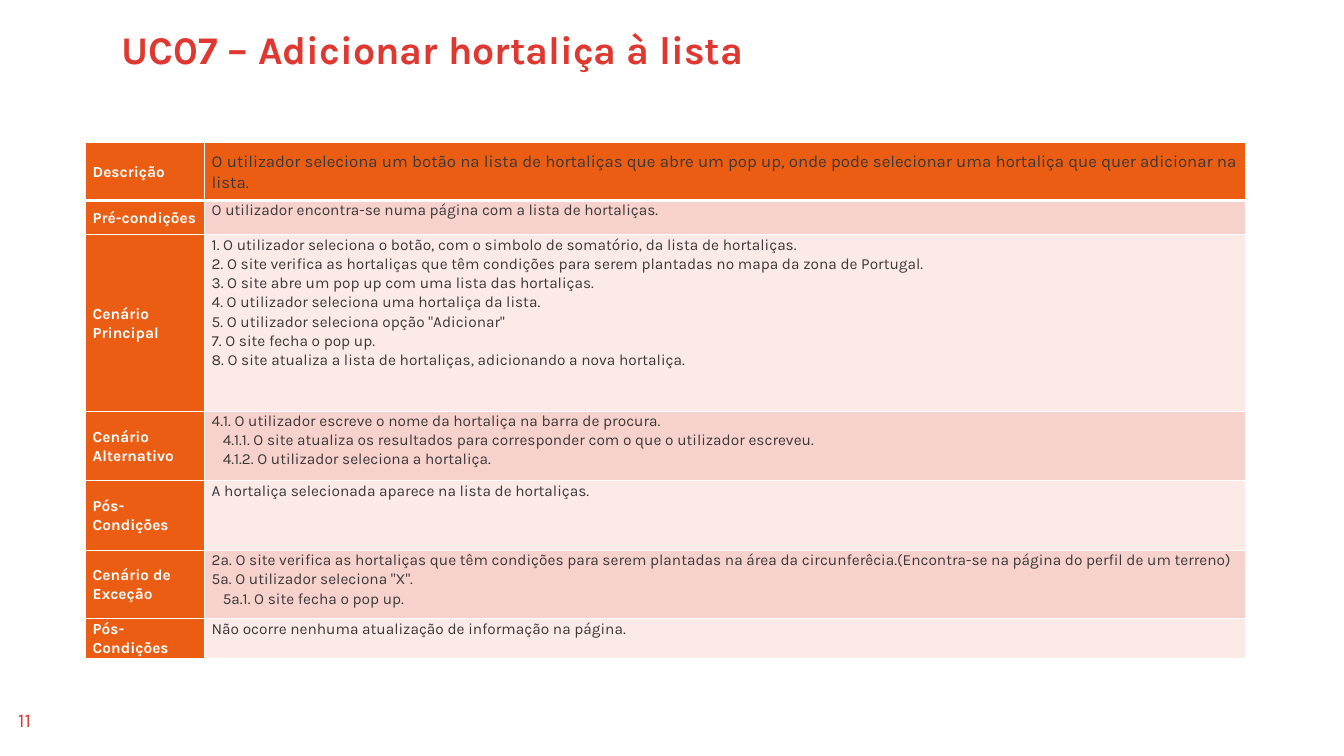
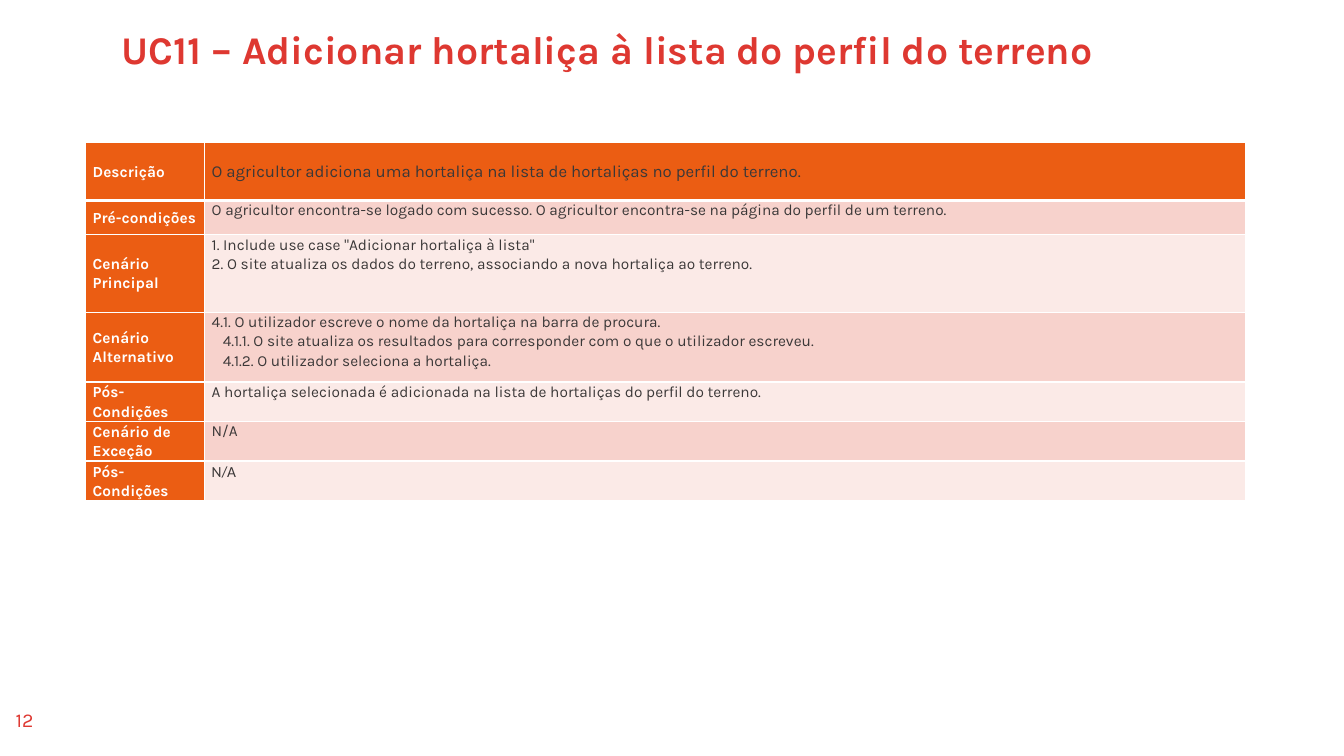
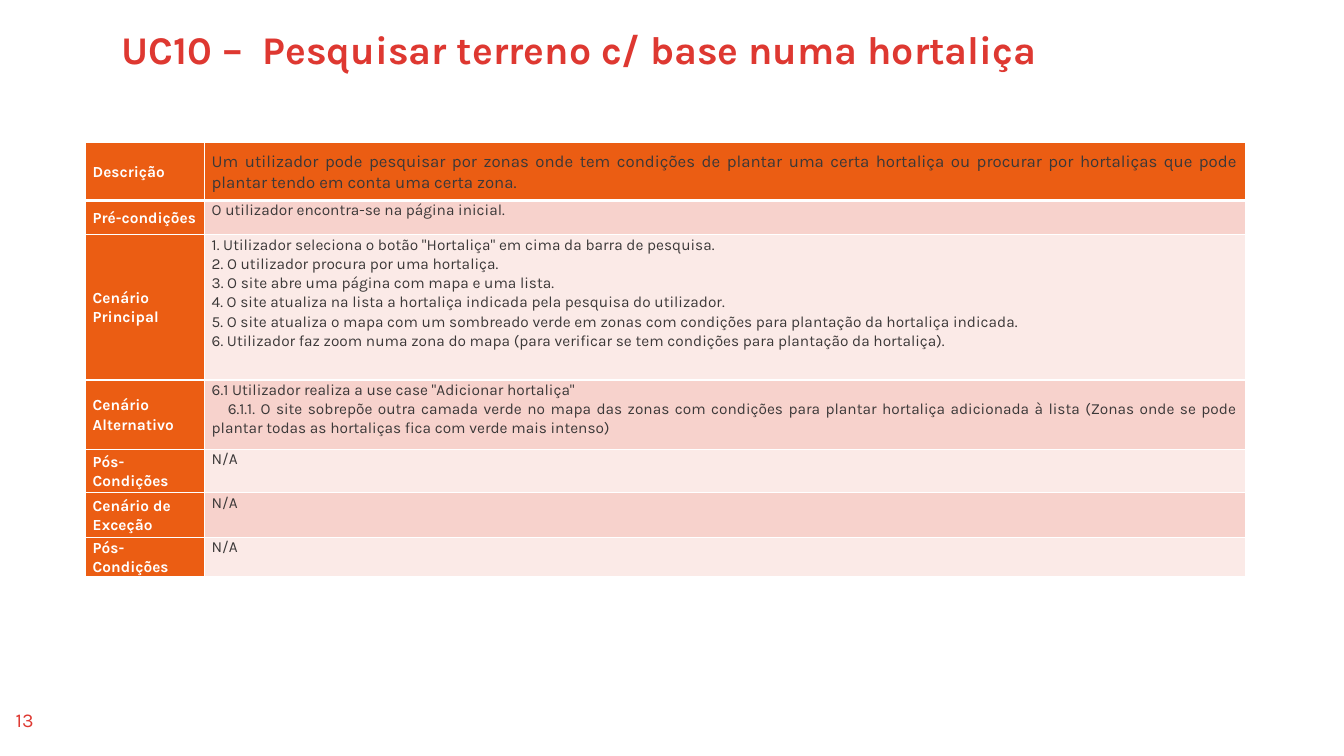
from dataclasses import dataclass

from lxml import etree
from pptx import Presentation
from pptx import util as u
from pptx.dml.color import RGBColor
from pptx.enum import text
from pptx.oxml import ns

RED = RGBColor(0xDE, 0x38, 0x31)
ORANGE = RGBColor(0xEB, 0x5D, 0x13)
ROSE = RGBColor(0xF7, 0xD2, 0xCC)
BLUSH = RGBColor(0xFB, 0xEA, 0xE7)
CHARCOAL = RGBColor(0x3B, 0x38, 0x38)
WHITE = RGBColor(0xFF, 0xFF, 0xFF)

FONT = "Karla"
SLIDE_WIDTH, SLIDE_HEIGHT = 13.33, 7.5
TABLE_LEFT, TABLE_TOP = 0.85, 1.41
COLUMNS = (1.18, 10.32)
LABELS = (
    "Descrição",
    "Pré-condições",
    "Cenário Principal",
    "Cenário Alternativo",
    "Pós-Condições",
    "Cenário de Exceção",
    "Pós-Condições",
)
STEP_INDENT = 0.11


@dataclass(frozen=True)
class Step:
    words: str
    indent: float = 0


@dataclass(frozen=True)
class Row:
    height: float
    steps: tuple[Step, ...]
    font: str = FONT


@dataclass(frozen=True)
class UseCase:
    number: int
    title: str
    rows: tuple[Row, ...]


def row(height: float, *steps: str | Step, font: str = FONT) -> Row:
    return Row(height, tuple(s if isinstance(s, Step) else Step(s) for s in steps), font)


SEARCH_STEPS = row(
    0.69,
    "4.1. O utilizador escreve o nome da hortaliça na barra de procura.",
    Step("4.1.1. O site atualiza os resultados para corresponder com o que o utilizador escreveu.", STEP_INDENT),
    Step("4.1.2. O utilizador seleciona a hortaliça.", STEP_INDENT),
)

USE_CASES = (
    UseCase(11, "UC07 – Adicionar hortaliça à lista", (
        row(0.58, "O utilizador seleciona um botão na lista de hortaliças que abre um pop up, onde pode "
                  "selecionar uma hortaliça que quer adicionar na lista."),
        row(0.34, "O utilizador encontra-se numa página com a lista de hortaliças."),
        row(
            1.75,
            "1. O utilizador seleciona o botão, com o simbolo de somatório, da lista de hortaliças.",
            "2. O site verifica as hortaliças que têm condições para serem plantadas no mapa da zona de Portugal.",
            "3. O site abre um pop up com uma lista das hortaliças.",
            "4. O utilizador seleciona uma hortaliça da lista.",
            '5. O utilizador seleciona opção "Adicionar"',
            "7. O site fecha o pop up.",
            "8. O site atualiza a lista de hortaliças, adicionando a nova hortaliça.",
        ),
        SEARCH_STEPS,
        row(0.69, "A hortaliça selecionada aparece na lista de hortaliças."),
        row(
            0.68,
            "2a. O site verifica as hortaliças que têm condições para serem plantadas na área da "
            "circunferêcia.(Encontra-se na página do perfil de um terreno)",
            '5a. O utilizador seleciona "X".',
            Step("5a.1. O site fecha o pop up.", STEP_INDENT),
        ),
        row(0.34, "Não ocorre nenhuma atualização de informação na página."),
    )),
    UseCase(12, "UC11 – Adicionar hortaliça à lista do perfil do terreno", (
        row(0.58, "O agricultor adiciona uma hortaliça na lista de hortaliças no perfil do terreno."),
        row(0.34, "O agricultor encontra-se logado com sucesso. O agricultor encontra-se na página do "
                  "perfil de um terreno."),
        row(
            0.77,
            '1. Include use case "Adicionar hortaliça à lista"',
            "2. O site atualiza os dados do terreno, associando a nova hortaliça ao terreno.",
        ),
        SEARCH_STEPS,
        row(0.38, "A hortaliça selecionada é adicionada na lista de hortaliças do perfil do terreno."),
        row(0.32, "N/A"),
        row(0.34, "N/A", font="Calibri"),
    )),
    UseCase(13, "UC10 –  Pesquisar terreno c/ base numa hortaliça", (
        row(0.58, "Um utilizador pode pesquisar por zonas onde tem condições de plantar uma certa hortaliça "
                  "ou procurar por hortaliças que pode plantar tendo em conta uma certa zona."),
        row(0.34, "O utilizador encontra-se na página inicial."),
        row(
            1.44,
            '1. Utilizador seleciona o botão "Hortaliça" em cima da barra de pesquisa.',
            "2. O utilizador procura por uma hortaliça.",
            "3. O site abre uma página com mapa e uma lista.",
            "4. O site atualiza na lista a hortaliça indicada pela pesquisa do utilizador.",
            "5. O site atualiza o mapa com um sombreado verde em zonas com condições para plantação "
            "da hortaliça indicada.",
            "6. Utilizador faz zoom numa zona do mapa (para verificar se tem condições para plantação "
            "da hortaliça).",
        ),
        row(
            0.69,
            '6.1 Utilizador realiza a use case "Adicionar hortaliça"',
            Step("6.1.1. O site sobrepõe outra camada verde no mapa das zonas com condições para plantar "
                 "hortaliça adicionada à lista (Zonas onde se pode plantar todas as hortaliças fica com "
                 "verde mais intenso)", 0.16),
        ),
        row(0.43, "N/A"),
        row(0.44, "N/A"),
        row(0.34, "N/A"),
    )),
)


def write(frame, steps: tuple[Step, ...], *, size: float, color: RGBColor, bold: bool = False,
          font: str = FONT, align=text.PP_ALIGN.LEFT, spacing: float = 1.0) -> None:
    frame.word_wrap = True
    for index, step in enumerate(steps):
        para = frame.add_paragraph() if index else frame.paragraphs[0]
        para.alignment = align
        para.line_spacing = spacing
        para.space_before = u.Pt(0)
        if step.indent:
            para._p.get_or_add_pPr().set("indent", str(u.Inches(step.indent)))
        span = para.add_run()
        span.text = step.words
        span.font.name = font
        span.font.size = u.Pt(size)
        span.font.bold = bold
        span.font.color.rgb = color


def add_borders(cell, *, top: float, bottom: float) -> None:
    properties = cell._tc.get_or_add_tcPr()
    for side, width in (("L", 1), ("R", 1), ("T", top), ("B", bottom)):
        line = etree.SubElement(properties, ns.qn(f"a:ln{side}"), w=str(u.Pt(width)))
        fill = etree.SubElement(line, ns.qn("a:solidFill"))
        etree.SubElement(fill, ns.qn("a:srgbClr"), val=str(WHITE))


def add_title(page, words: str) -> None:
    title = page.shapes.title
    title.left, title.top = u.Inches(1.11), u.Inches(0.25)
    title.width, title.height = u.Inches(10.41), u.Inches(0.45)
    title.text_frame.vertical_anchor = text.MSO_ANCHOR.TOP
    title.text_frame.auto_size = text.MSO_AUTO_SIZE.NONE
    write(title.text_frame, (Step(words),), size=28, color=RED, bold=True, spacing=0.9)


def add_page_number(page, number: int) -> None:
    box = page.shapes.add_textbox(u.Inches(0.01), u.Inches(6.97), u.Inches(0.47), u.Inches(0.4))
    write(box.text_frame, (Step(str(number)),), size=14, color=RED, align=text.PP_ALIGN.CENTER)


def add_use_case_table(page, rows: tuple[Row, ...]) -> None:
    height = sum(item.height for item in rows)
    table = page.shapes.add_table(
        len(rows), len(COLUMNS), u.Inches(TABLE_LEFT), u.Inches(TABLE_TOP),
        u.Inches(sum(COLUMNS)), u.Inches(height)).table
    for column, width in zip(table.columns, COLUMNS):
        column.width = u.Inches(width)
    for index, (label, item) in enumerate(zip(LABELS, rows)):
        header = index == 0
        table.rows[index].height = u.Inches(item.height)
        label_cell, body_cell = table.cell(index, 0), table.cell(index, 1)
        body_fill = ORANGE if header else (BLUSH, ROSE)[index % 2]
        for cell, fill in ((label_cell, ORANGE), (body_cell, body_fill)):
            add_borders(cell, top=3 if index == 1 else 1, bottom=3 if header else 1)
            cell.fill.solid()
            cell.fill.fore_color.rgb = fill
            cell.margin_left = cell.margin_right = u.Inches(0.07)
            cell.margin_top = cell.margin_bottom = 0
            middle = header or cell is label_cell
            cell.vertical_anchor = text.MSO_ANCHOR.MIDDLE if middle else text.MSO_ANCHOR.TOP
        write(label_cell.text_frame, (Step(label),), size=11, color=WHITE, bold=True, spacing=1.07)
        write(body_cell.text_frame, item.steps, size=12 if header else 11, color=CHARCOAL,
              font=item.font, align=text.PP_ALIGN.JUSTIFY, spacing=1.07)


def main() -> None:
    deck = Presentation()
    deck.slide_width, deck.slide_height = u.Inches(SLIDE_WIDTH), u.Inches(SLIDE_HEIGHT)
    for case in USE_CASES:
        page = deck.slides.add_slide(deck.slide_layouts[5])
        add_title(page, case.title)
        add_page_number(page, case.number)
        add_use_case_table(page, case.rows)
    deck.save("out.pptx")


if __name__ == "__main__":
    main()
